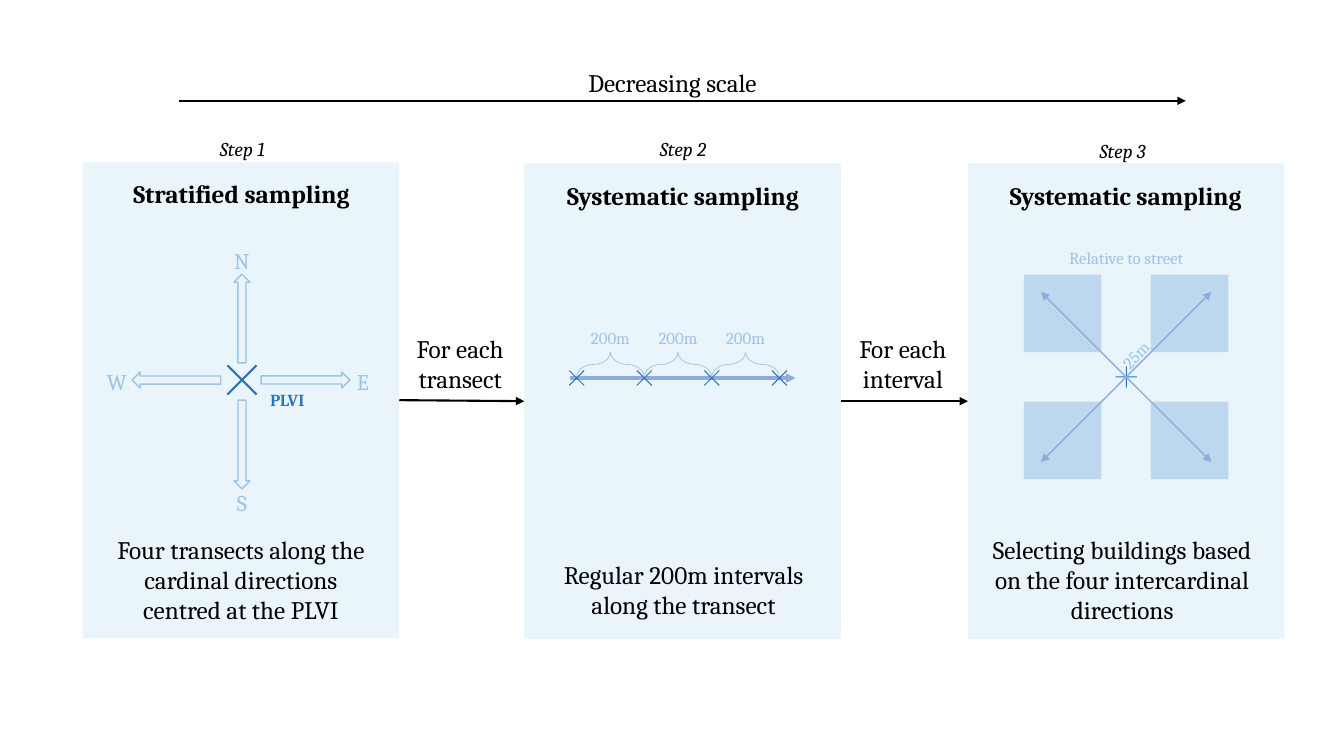
from dataclasses import dataclass

from lxml import etree
from pptx import Presentation
from pptx.dml.color import RGBColor
from pptx.enum.shapes import MSO_CONNECTOR, MSO_SHAPE
from pptx.enum.text import MSO_AUTO_SIZE, PP_ALIGN
from pptx.oxml.ns import qn
from pptx.util import Inches, Pt

RECT = MSO_SHAPE.RECTANGLE
UP_ARROW = MSO_SHAPE.UP_ARROW
CROSS = MSO_SHAPE.CROSS
BRACE = MSO_SHAPE.RIGHT_BRACE
STRAIGHT = MSO_CONNECTOR.STRAIGHT
CENTER = PP_ALIGN.CENTER
GROW = MSO_AUTO_SIZE.SHAPE_TO_FIT_TEXT
RIGHT_SIDE, LEFT_SIDE = 3, 1


@dataclass(frozen=True)
class Theme:
    font: str = "Cambria"
    ink: str = "000000"
    panel: str = "E9F4FB"
    building: str = "BDD7EE"
    pale: str = "9DC3E6"
    ray: str = "8FAADC"
    marker: str = "2E75B6"
    body: int = 18
    compass: int = 16
    step: int = 14
    small: int = 12


THEME = Theme()
PANEL_W, PANEL_H = 3.14, 4.72


def add_figure(slide, kind, left, top, width, height, fill=None, line=None,
               weight=1, rotation=0, adjustments=()):
    figure = slide.shapes.add_shape(kind, Inches(left), Inches(top),
                                    Inches(width), Inches(height))
    figure.shadow.inherit = False
    figure.rotation = rotation
    for index, value in enumerate(adjustments):
        figure.adjustments[index] = value
    if fill:
        figure.fill.solid()
        figure.fill.fore_color.rgb = RGBColor.from_string(fill)
    else:
        figure.fill.background()
    if line:
        figure.line.color.rgb = RGBColor.from_string(line)
        figure.line.width = Pt(weight)
    else:
        figure.line.fill.background()
    return figure


def add_cross(slide, center_x, center_y, size, rotation=45):
    add_figure(slide, CROSS, center_x - size / 2, center_y - size / 2, size, size,
               fill=THEME.marker, rotation=rotation, adjustments=(0.475,))


def add_label(slide, text, left, top, width, height, size=THEME.body,
              color=THEME.ink, bold=False, italic=False, rotation=0):
    label = slide.shapes.add_textbox(Inches(left), Inches(top),
                                     Inches(width), Inches(height))
    label.rotation = rotation
    frame = label.text_frame
    frame.word_wrap = True
    frame.auto_size = GROW
    frame.text = text
    paragraph = frame.paragraphs[0]
    paragraph.alignment = CENTER
    font = paragraph.runs[0].font
    font.name, font.size = THEME.font, Pt(size)
    font.bold, font.italic = bold, italic
    font.color.rgb = RGBColor.from_string(color)


def add_arrow(slide, start, end, color=THEME.ink, weight=1.5):
    arrow = slide.shapes.add_connector(STRAIGHT, *map(Inches, start + end))
    arrow.line.color.rgb = RGBColor.from_string(color)
    arrow.line.width = Pt(weight)
    etree.SubElement(arrow.line._get_or_add_ln(), qn("a:tailEnd"), type="triangle")
    etree.SubElement(arrow._element.spPr, qn("a:effectLst"))
    return arrow


def add_panel(slide, left, top):
    return add_figure(slide, RECT, left, top, PANEL_W, PANEL_H, fill=THEME.panel)


def add_transition(slide, text, left, source, target):
    add_label(slide, text, left, 3.26, 1.27, 0.71)
    arrow = add_arrow(slide, (left, 3.97), (left + 1.27, 3.97))
    arrow.begin_connect(source, RIGHT_SIDE)
    arrow.end_connect(target, LEFT_SIDE)


def add_compass(slide):
    center_x, center_y = 2.4, 3.77
    arrow_w, arrow_h = 0.16, 0.88
    directions = (
        # letter, arrow centre, rotation, letter box
        ("N", (center_x, 3.16), 0, (2.17, 2.4)),
        ("E", (3.03, center_y), 90, (3.37, 3.6)),
        ("S", (center_x, 4.41), 180, (2.17, 4.8)),
        ("W", (1.75, center_y), 270, (0.93, 3.6)),
    )
    for letter, (x, y), rotation, corner in directions:
        add_figure(slide, UP_ARROW, x - arrow_w / 2, y - arrow_h / 2, arrow_w, arrow_h,
                   line=THEME.pale, rotation=rotation)
        add_label(slide, letter, *corner, 0.46, 0.37, THEME.compass, THEME.pale)
    add_cross(slide, center_x, center_y, 0.41)
    add_label(slide, "PLVI", 2.46, 3.82, 0.78, 0.3, THEME.small, THEME.marker, bold=True)


def add_transect(slide):
    first_x, line_y, interval = 5.72, 3.75, 0.67
    brace_w, brace_h = 0.25, interval
    add_arrow(slide, (5.65, line_y), (7.89, line_y), THEME.ray, 2.25)
    for mark in range(4):
        add_cross(slide, first_x + mark * interval, line_y, 0.21)
    for gap in range(3):
        middle = first_x + (gap + 0.5) * interval
        add_figure(slide, BRACE, middle - brace_w / 2, 3.28, brace_w, brace_h,
                   line=THEME.pale, weight=0.5, rotation=270, adjustments=(0.836, 0.5))
        add_label(slide, "200m", middle - 0.32, 3.2, 0.64, 0.3, THEME.small, THEME.pale)


def add_buildings(slide):
    center_x, center_y = 11.17, 3.74
    offset, side, reach = 0.63, 0.77, 0.845
    corners = [(dx, dy) for dy in (-1, 1) for dx in (-1, 1)]
    for dx, dy in corners:
        add_figure(slide, RECT, center_x + dx * offset - side / 2,
                   center_y + dy * offset - side / 2, side, side, fill=THEME.building)
    add_cross(slide, center_x, center_y, 0.21, rotation=90)
    for dx, dy in corners:
        add_arrow(slide, (center_x, center_y),
                  (center_x + dx * reach, center_y + dy * reach), THEME.ray, 1)
    add_label(slide, "Relative to street", 10.3, 2.41, 1.74, 0.3, THEME.small, THEME.pale)
    add_label(slide, "25m", 10.95, 3.37, 0.63, 0.3, THEME.small, THEME.pale, rotation=314.3)


def main():
    prs = Presentation()
    prs.slide_width, prs.slide_height = Inches(13.33), Inches(7.5)
    slide = prs.slides.add_slide(prs.slide_layouts[6])

    # Scale arrow
    add_label(slide, "Decreasing scale", 5.39, 0.62, 2.56, 0.4)
    add_arrow(slide, (1.78, 1), (11.76, 1))

    # Panels and the arrows between them
    stratified = add_panel(slide, 0.82, 1.61)
    transect = add_panel(slide, 5.2, 1.62)
    buildings = add_panel(slide, 9.6, 1.62)
    add_transition(slide, "For each transect", 3.93, stratified, transect)
    add_transition(slide, "For each interval", 8.32, transect, buildings)

    # Step numbers, headings and descriptions
    steps = (
        ("Step 1", 0.94, 1.31), ("Step 2", 5.31, 1.31), ("Step 3", 9.67, 1.33),
    )
    for text, left, top in steps:
        add_label(slide, text, left, top, 2.93, 0.34, THEME.step, italic=True)
    headings = (
        ("Stratified sampling", 0.93, 1.72),
        ("Systematic sampling", 5.31, 1.74),
        ("Systematic sampling", 9.7, 1.74),
    )
    for text, left, top in headings:
        add_label(slide, text, left, top, 2.93, 0.4, bold=True)
    descriptions = (
        ("Four transects along the cardinal directions centred at the PLVI", 1.01, 5.25, 1.01),
        ("Regular 200m intervals along the transect", 5.4, 5.5, 0.71),
        ("Selecting buildings based on the four intercardinal directions", 9.75, 5.25, 1.01),
    )
    for text, left, top, height in descriptions:
        add_label(slide, text, left, top, 2.76, height)

    # Diagrams
    add_compass(slide)
    add_transect(slide)
    add_buildings(slide)

    prs.save("out.pptx")


if __name__ == "__main__":
    main()
